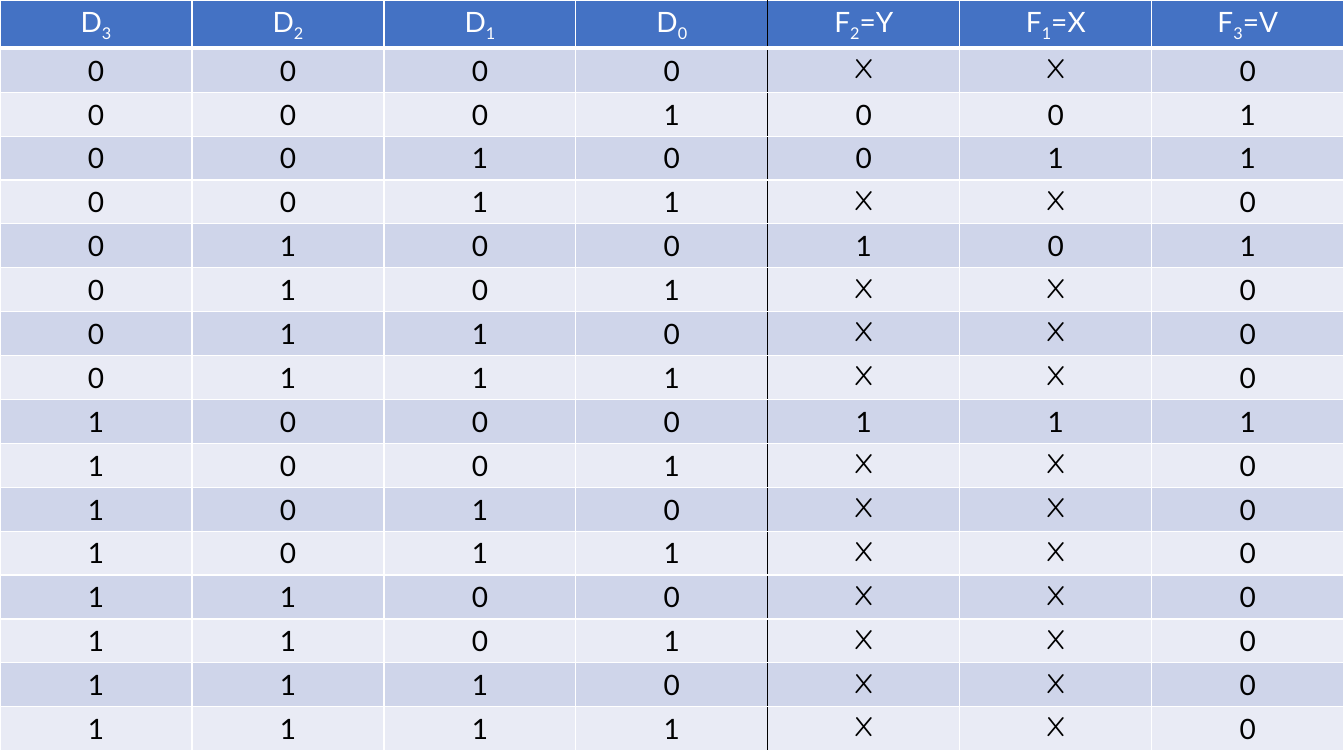
from pptx import Presentation
from pptx import util as u
from pptx.dml.color import RGBColor
from pptx.enum import text
from pptx.oxml import xmlchemy as xml
from lxml import etree

PX = 9144  # 100 px to the inch
WIDE, HIGH = 1333, 750
HEAD, ROW = 47, 43
WHITE, BLACK, BLUE = "FFFFFF", "000000", "4472C4"
BANDS = ["CFD5EA", "E9EBF5"]
SPLIT = 4  # inputs stand left of this column, outputs right
HEADS = ["D 3", "D 2", "D 1", "D 0", "F 2 =Y", "F 1 =X", "F 3 =V"]
CODES = {1: "001", 2: "011", 4: "101", 8: "111"}
NS = "http://schemas.openxmlformats.org/drawingml/2006/main"


def color(code):
    return RGBColor.from_string(code)


def edge(cell, side, code, width):
    """Draw one cell border; call before the cell is filled."""
    props = cell._tc.get_or_add_tcPr()
    line = etree.SubElement(props, f"{{{NS}}}ln{side}", w=str(u.Pt(width)))
    fill = etree.SubElement(line, f"{{{NS}}}solidFill")
    etree.SubElement(fill, f"{{{NS}}}srgbClr", val=code)


def write(cell, parts, code):
    """Write centred runs, the second one as a subscript."""
    par = cell.text_frame.paragraphs[0]
    par.alignment = text.PP_ALIGN.CENTER
    for i, part in enumerate(parts):
        run = par.add_run()
        run.text = part
        face = "Comic Neue" if part == "X" else "Lato"
        for key, val in {"name": face, "size": u.Pt(20)}.items():
            setattr(run.font, key, val)
        run.font.color.rgb = color(code)
        if i == 1:
            run.font._element.set("baseline", "-25000")


def style(cell, row, col, fill):
    sides = {
        "L": (BLACK if col == SPLIT else WHITE, 1),
        "R": (BLACK if col == SPLIT - 1 else WHITE, 1),
        "T": (WHITE, 3 if row == 1 else 1),
        "B": (WHITE, 3 if row == 0 else 1),
    }
    for side, (code, width) in sides.items():
        edge(cell, side, code, width)
    cell.fill.solid()
    cell.fill.fore_color.rgb = color(fill)


def truth(slide, left, top, width):
    """Place the truth table of a four-input encoder."""
    rows = [[head.split() for head in HEADS]]
    rows += [list(f"{n:04b}" + CODES.get(n, "XX0")) for n in range(16)]
    size = [HEAD] + [ROW] * 16
    frame = slide.shapes.add_table(len(rows), len(HEADS), left * PX, top * PX,
                                   width * PX, sum(size) * PX)
    table = frame.table
    for key in ("first_row", "horz_banding"):
        setattr(table, key, False)
    for col in table.columns:
        col.width = width * PX // len(HEADS)
    for r, row in enumerate(rows):
        table.rows[r].height = size[r] * PX
        for c, parts in enumerate(row):
            cell = table.cell(r, c)
            style(cell, r, c, BANDS[(r - 1) % 2] if r else BLUE)
            write(cell, parts, BLACK if r else WHITE)


def main():
    deck = Presentation()
    deck.slide_width, deck.slide_height = WIDE * PX, HIGH * PX
    slide = deck.slides.add_slide(deck.slide_layouts[6])
    truth(slide, 0, 0, WIDE)
    deck.save("out.pptx")


if __name__ == "__main__":
    main()
